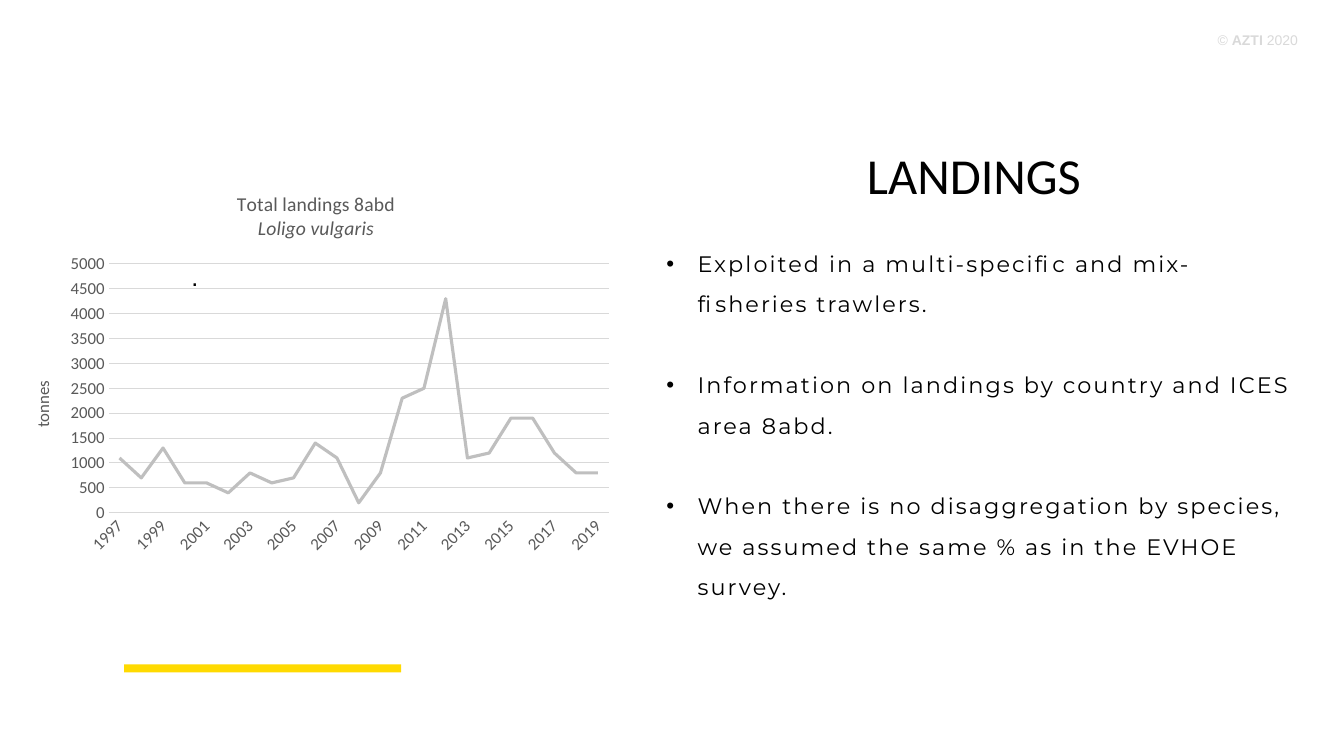
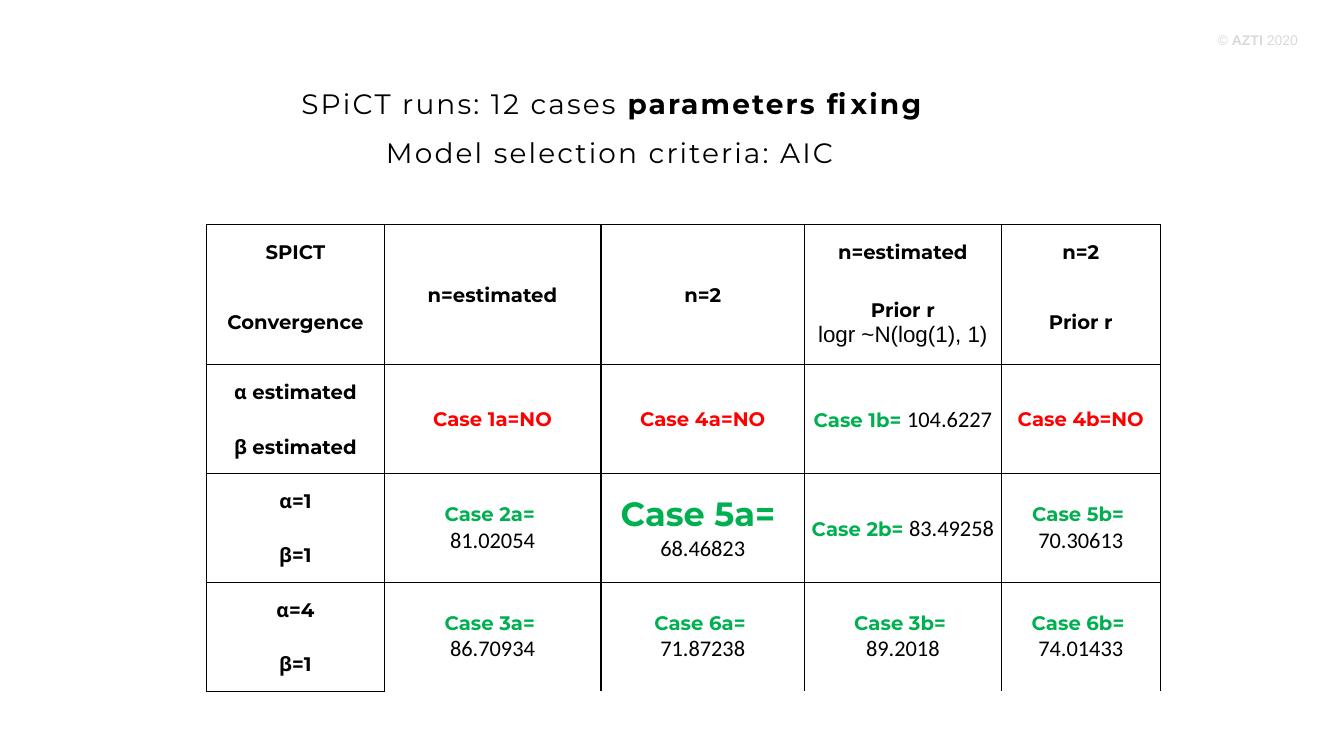
import pptx
import pptx.chart.data
import pptx.dml.color
import pptx.enum.chart
import pptx.enum.shapes
import pptx.enum.text
import pptx.oxml
import pptx.oxml.ns
import pptx.util

Inches = pptx.util.Inches
Pt = pptx.util.Pt
RGBColor = pptx.dml.color.RGBColor
ALIGN = pptx.enum.text.PP_ALIGN
NONE_TICK = pptx.enum.chart.XL_TICK_MARK.NONE

BLACK = RGBColor(0x00, 0x00, 0x00)
YELLOW = RGBColor(0xFF, 0xDA, 0x00)
PALE = RGBColor(0xD9, 0xD9, 0xD9)
SILVER = RGBColor(0xBF, 0xBF, 0xBF)
GREY = RGBColor(0x59, 0x59, 0x59)
RED = RGBColor(0xFF, 0x00, 0x00)
GREEN = RGBColor(0x00, 0xB0, 0x50)

BODY, PLAIN, SMALL = "Montserrat", "Calibri", "Arial"

LANDINGS = [1100, 700, 1300, 600, 600, 400, 800, 600, 700, 1400, 1100, 200,
            800, 2300, 2500, 4300, 1100, 1200, 1900, 1900, 1200, 800, 800]


def xml(text):
    return pptx.oxml.parse_xml(text.replace("NS", pptx.oxml.ns.nsdecls("a", "c"), 1))


def run(text, size, font, color=BLACK, bold=False, italic=False, spacing=0):
    return dict(text=text, size=size, font=font, color=color, bold=bold,
                italic=italic, spacing=spacing)


def label(text):
    return [run(text, 14, BODY, bold=True)]


def failed(case):
    return [[run(f"Case {case}=NO", 14, BODY, RED, True)]]


def fitted(case, aic, size=14, split=True):
    name = run(f"Case {case}= ", size, BODY, GREEN, True)
    value = run(aic, 16, PLAIN)
    return [[name], [value]] if split else [[name, value]]


class Deck:
    """Hold the shared style and the slide being filled."""

    def __init__(self):
        self.prs = pptx.Presentation()
        self.prs.slide_width = Inches(13.33)
        self.prs.slide_height = Inches(7.5)
        self.s = None

    def slide(self):
        self.s = self.prs.slides.add_slide(self.prs.slide_layouts[6])
        self.text(11.97, 0.26, 1, 0.44, [[
            run("© ", 10, SMALL, PALE), run("AZTI", 10, SMALL, PALE, True),
            run(" 2020", 10, SMALL, PALE)]], align=ALIGN.RIGHT)

    def fill(self, tf, paragraphs, align=None):
        for i, runs in enumerate(paragraphs):
            p = tf.add_paragraph() if i else tf.paragraphs[0]
            p.alignment = align
            for style in runs:
                r = p.add_run()
                r.text = style["text"]
                r.font.size = Pt(style["size"])
                r.font.name = style["font"]
                r.font.bold = style["bold"]
                r.font.italic = style["italic"]
                r.font.color.rgb = style["color"]
                if style["spacing"]:
                    r._r.get_or_add_rPr().set("spc", str(int(style["spacing"] * 100)))

    def text(self, x, y, w, h, paragraphs, align=None, wrap=True):
        sp = self.s.shapes.add_textbox(Inches(x), Inches(y), Inches(w), Inches(h))
        tf = sp.text_frame
        tf.word_wrap = wrap
        self.fill(tf, paragraphs, align)
        return tf

    def bullets(self, x, y, w, h, items):
        tf = self.text(x, y, w, h, [[run(t, 16, BODY, spacing=1.5)] for t in items])
        for i, p in enumerate(tf.paragraphs):
            pPr = p._p.get_or_add_pPr()
            pPr.set("marL", str(Inches(0.31)))
            pPr.set("indent", str(-Inches(0.31)))
            pPr.append(xml('<a:buFont NS typeface="Arial"/>'))
            pPr.append(xml('<a:buChar NS char="•"/>'))
            p.line_spacing = 1.5
            if i:
                p.space_before = Pt(29)

    def bar(self, x, y, w, h, color):
        sp = self.s.shapes.add_shape(pptx.enum.shapes.MSO_SHAPE.RECTANGLE,
                                     Inches(x), Inches(y), Inches(w), Inches(h))
        sp.shadow.inherit = False
        sp.fill.solid()
        sp.fill.fore_color.rgb = color
        sp.line.fill.background()

    def line_chart(self, x, y, w, h, title, unit, years, values):
        data = pptx.chart.data.CategoryChartData(number_format="0")
        data.categories = [str(year) for year in years]
        data.add_series("Series 1", values)
        chart = self.s.shapes.add_chart(
            pptx.enum.chart.XL_CHART_TYPE.LINE, Inches(x), Inches(y),
            Inches(w), Inches(h), data).chart
        chart.has_legend = False
        chart.font.name, chart.font.size = PLAIN, Pt(12)
        chart.font.color.rgb = BLACK
        chart.has_title = True
        self.fill(chart.chart_title.text_frame, title)
        chart.chart_title.include_in_layout = False

        plot = chart.plots[0]
        plot.vary_by_categories = False
        series = plot.series[0]
        series.smooth = False
        series.marker.style = pptx.enum.chart.XL_MARKER_STYLE.NONE
        series.format.line.color.rgb = SILVER
        series.format.line.width = Pt(2.25)

        cat, val = chart.category_axis, chart.value_axis
        for axis in (cat, val):
            axis.major_tick_mark = axis.minor_tick_mark = NONE_TICK
            axis.tick_labels.font.size = Pt(12)
            axis.tick_labels.font.name = PLAIN
            axis.tick_labels.font.color.rgb = GREY
        cat.has_major_gridlines = False
        val.has_major_gridlines = True
        for line in (cat.format.line, val.major_gridlines.format.line):
            line.color.rgb = PALE
            line.width = Pt(0.75)
        val.format.line.fill.background()
        val.minimum_scale, val.maximum_scale, val.major_unit = 0, 5000, 500
        val.tick_labels.number_format = "0"
        val.tick_labels.number_format_is_linked = False
        val.has_title = True
        self.fill(val.axis_title.text_frame, [[run(unit, 12, PLAIN, GREY)]])

        cat._element.xpath("c:txPr/a:bodyPr")[0].set("rot", "-2700000")
        cat._element.xpath("c:noMultiLvlLbl")[0].addprevious(
            xml('<c:tickLblSkip NS val="2"/>'))
        area = chart._chartSpace.xpath("c:chart/c:plotArea")[0]
        for old in area.xpath("c:layout"):
            area.remove(old)
        places = "".join(f'<c:{k} val="{v}"/>' for k, v in (
            ("layoutTarget", "inner"), ("xMode", "edge"), ("yMode", "edge"),
            ("x", 0.16), ("y", 0.23), ("w", 0.82), ("h", 0.64)))
        area.insert(0, xml(f"<c:layout NS><c:manualLayout>{places}</c:manualLayout></c:layout>"))

    def border(self, cell, sides):
        tcPr = cell._tc.get_or_add_tcPr()
        for i, side in enumerate("LRTB"):
            paint = "<a:noFill/>"
            if side in sides:
                paint = f'<a:solidFill><a:srgbClr val="{BLACK}"/></a:solidFill>'
            tcPr.insert(i, xml(f'<a:ln{side} NS w="12700">{paint}</a:ln{side}>'))

    def table(self, x, y, widths, heights, bands):
        table = self.s.shapes.add_table(
            len(heights), len(widths), Inches(x), Inches(y),
            Inches(sum(widths)), Inches(sum(heights))).table
        table.first_row = table.horz_banding = False
        for column, w in zip(table.columns, widths):
            column.width = Inches(w)
        for i, h in enumerate(heights):
            table.rows[i].height = Inches(h)
            for j in range(len(widths)):
                cell = table.cell(i, j)
                cell.fill.background()
                cell.vertical_anchor = pptx.enum.text.MSO_ANCHOR.MIDDLE
                cell.margin_left = cell.margin_right = cell.margin_top = Inches(0.01)
                cell.margin_bottom = 0
                self.border(cell, "LRB" if i % 2 else "LRT")
        for i, band in enumerate(bands):
            for j, content in enumerate(band):
                upper, lower = table.cell(2 * i, j), table.cell(2 * i + 1, j)
                if isinstance(content, tuple):
                    for cell, paragraphs in zip((upper, lower), content):
                        self.fill(cell.text_frame, paragraphs, ALIGN.CENTER)
                else:
                    upper.merge(lower)
                    self.fill(upper.text_frame, content, ALIGN.CENTER)


def landings_slide(deck):
    deck.slide()
    deck.text(1.8, 2.54, 0.28, 0.4, [[run(".", 18, SMALL, spacing=0.9)]], wrap=False)
    deck.bar(1.23, 6.59, 2.75, 0.08, YELLOW)
    deck.line_chart(0.11, 1.73, 6.05, 3.86, [
        [run("Total landings 8abd", 14, PLAIN, GREY)],
        [run("Loligo vulgaris", 14, PLAIN, GREY, italic=True)],
    ], "tonnes", range(1997, 2020), LANDINGS)
    deck.bullets(6.51, 2.3, 6.49, 4.09, [
        "Exploited in a multi-specific and mix-fisheries trawlers.",
        "Information on landings by country and ICES area 8abd.",
        "When there is no disaggregation by species, we assumed the same % "
        "as in the EVHOE survey.",
    ])
    deck.text(8.5, 1.38, 2.35, 0.71, [[run("LANDINGS", 36, PLAIN)]], wrap=False)


def runs_slide(deck):
    deck.slide()
    prior = [label("Prior r")]
    deck.table(2.05, 2.23, [1.76, 2.15, 2.02, 1.95, 1.58], [0.54, 0.85] + [0.54] * 6, [
        [([label("SPICT")], [label("Convergence")]),
         [label("n=estimated")], [label("n=2")],
         ([label("n=estimated")], prior + [[run("logr ~N(log(1), 1)", 16, SMALL)]]),
         ([label("n=2")], prior)],
        [([label("α estimated")], [label("β estimated")]),
         failed("1a"), failed("4a"), fitted("1b", "104.6227", split=False), failed("4b")],
        [([label("α=1")], [label("β=1")]),
         fitted("2a", "81.02054"), fitted("5a", "68.46823", size=24),
         fitted("2b", "83.49258", split=False), fitted("5b", "70.30613")],
        [([label("α=4")], [label("β=1")]),
         fitted("3a", "86.70934"), fitted("6a", "71.87238"),
         fitted("3b", "89.2018"), fitted("6b", "74.01433")],
    ])
    deck.text(3.73, 1.3, 8.62, 0.44,
              [[run("Model selection criteria: AIC", 20, BODY, spacing=1.5)]])
    deck.text(2.89, 0.81, 8.62, 0.44, [[
        run("SPiCT runs: 12 cases ", 20, BODY, spacing=1.5),
        run("parameters fixing", 20, BODY, bold=True, spacing=1.5)]])


def main():
    deck = Deck()
    landings_slide(deck)
    runs_slide(deck)
    deck.prs.save("out.pptx")


if __name__ == "__main__":
    main()
